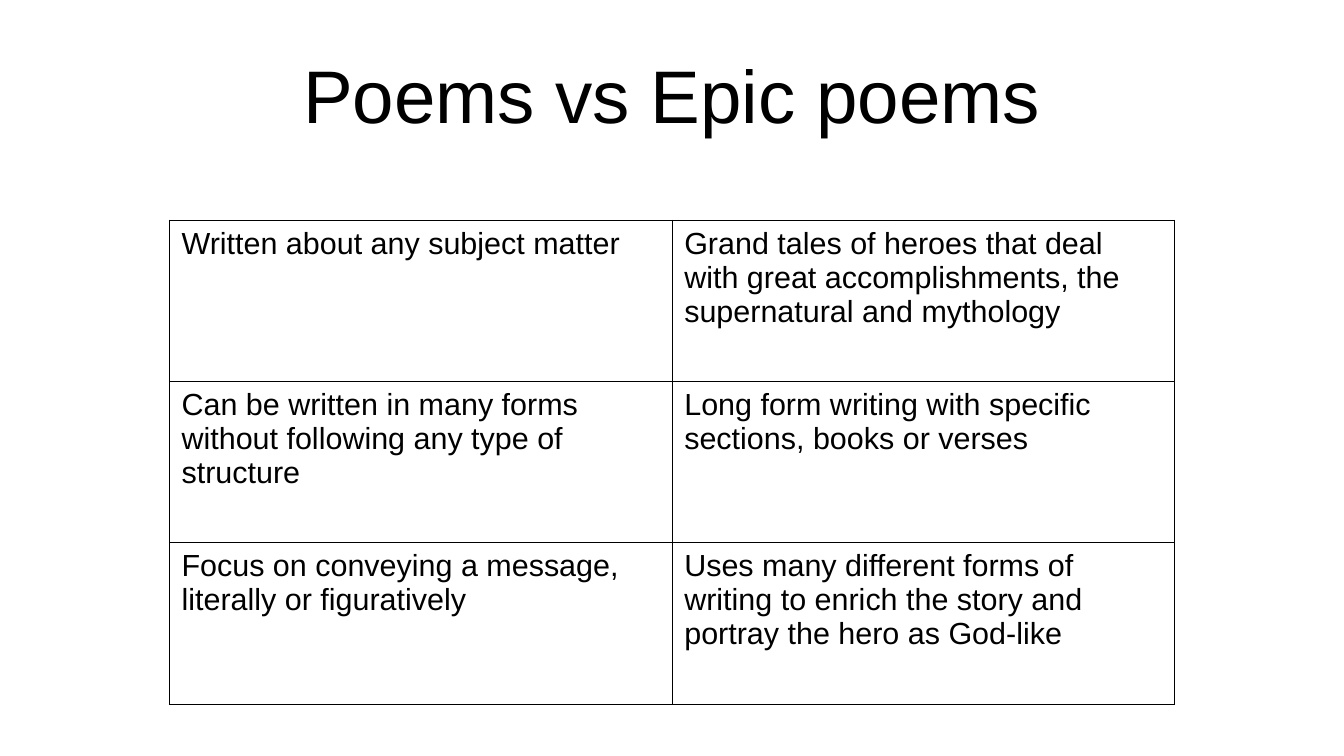
from dataclasses import dataclass

from lxml import etree
from pptx import Presentation
from pptx.dml.color import RGBColor
from pptx.enum.text import MSO_ANCHOR, PP_ALIGN
from pptx.oxml.ns import qn
from pptx.slide import Slide
from pptx.table import _Cell
from pptx.text.text import _Paragraph
from pptx.util import Pt

CENTER = PP_ALIGN.CENTER
LEFT = PP_ALIGN.LEFT
MIDDLE = MSO_ANCHOR.MIDDLE
TOP = MSO_ANCHOR.TOP
BLACK = RGBColor(0x00, 0x00, 0x00)
FONT = "Arial"
BORDER_WIDTH = Pt(0.57)
TITLE_ONLY = 5


@dataclass(frozen=True)
class Comparison:
    poem: str
    epic: str


COMPARISONS = [
    Comparison(
        "Written about any subject matter",
        "Grand tales of heroes that deal with great accomplishments, "
        "the supernatural and mythology",
    ),
    Comparison(
        "Can be written in many forms without following any type of structure",
        "Long form writing with specific sections, books or verses",
    ),
    Comparison(
        "Focus on conveying a message, literally or figuratively",
        "Uses many different forms of writing to enrich the story and "
        "portray the hero as God-like",
    ),
]


def format_paragraph(p: _Paragraph, size: float, align: PP_ALIGN) -> None:
    p.alignment = align
    p.font.name = FONT
    p.font.size = Pt(size)
    p.font.color.rgb = BLACK


def add_borders(cell: _Cell) -> None:
    tc_pr = cell._tc.get_or_add_tcPr()
    for i, side in enumerate(("a:lnL", "a:lnR", "a:lnT", "a:lnB")):
        line = etree.Element(qn(side), w=str(BORDER_WIDTH))
        fill = etree.SubElement(line, qn("a:solidFill"))
        etree.SubElement(fill, qn("a:srgbClr"), val=str(BLACK))
        tc_pr.insert(i, line)


def add_title(s: Slide, text: str) -> None:
    title = s.shapes.title
    title.left, title.top = Pt(39.6), Pt(18)
    title.width, title.height = Pt(714.24), Pt(74.88)
    tf = title.text_frame
    tf.text = text
    tf.word_wrap = True
    tf.vertical_anchor = MIDDLE
    tf.margin_left = tf.margin_right = tf.margin_top = tf.margin_bottom = 0
    format_paragraph(tf.paragraphs[0], 44, CENTER)


def fill_cell(cell: _Cell, text: str) -> None:
    cell.text = text
    cell.fill.background()
    cell.vertical_anchor = TOP
    cell.margin_left = cell.margin_right = Pt(7.2)
    cell.margin_top = cell.margin_bottom = Pt(3.6)
    format_paragraph(cell.text_frame.paragraphs[0], 18, LEFT)
    add_borders(cell)


def add_comparison_table(s: Slide, comparisons: list[Comparison]) -> None:
    table = s.shapes.add_table(
        len(comparisons), 2, Pt(100), Pt(130.1), Pt(593.6), Pt(285.6)
    ).table
    table.first_row = table.horz_banding = False
    for row, comparison in zip(table.rows, comparisons):
        for cell, text in zip(row.cells, (comparison.poem, comparison.epic)):
            fill_cell(cell, text)


def main() -> None:
    prs = Presentation()
    prs.slide_width, prs.slide_height = Pt(793.44), Pt(446.4)
    s = prs.slides.add_slide(prs.slide_layouts[TITLE_ONLY])
    add_title(s, "Poems vs Epic poems")
    add_comparison_table(s, COMPARISONS)
    prs.save("out.pptx")


if __name__ == "__main__":
    main()
